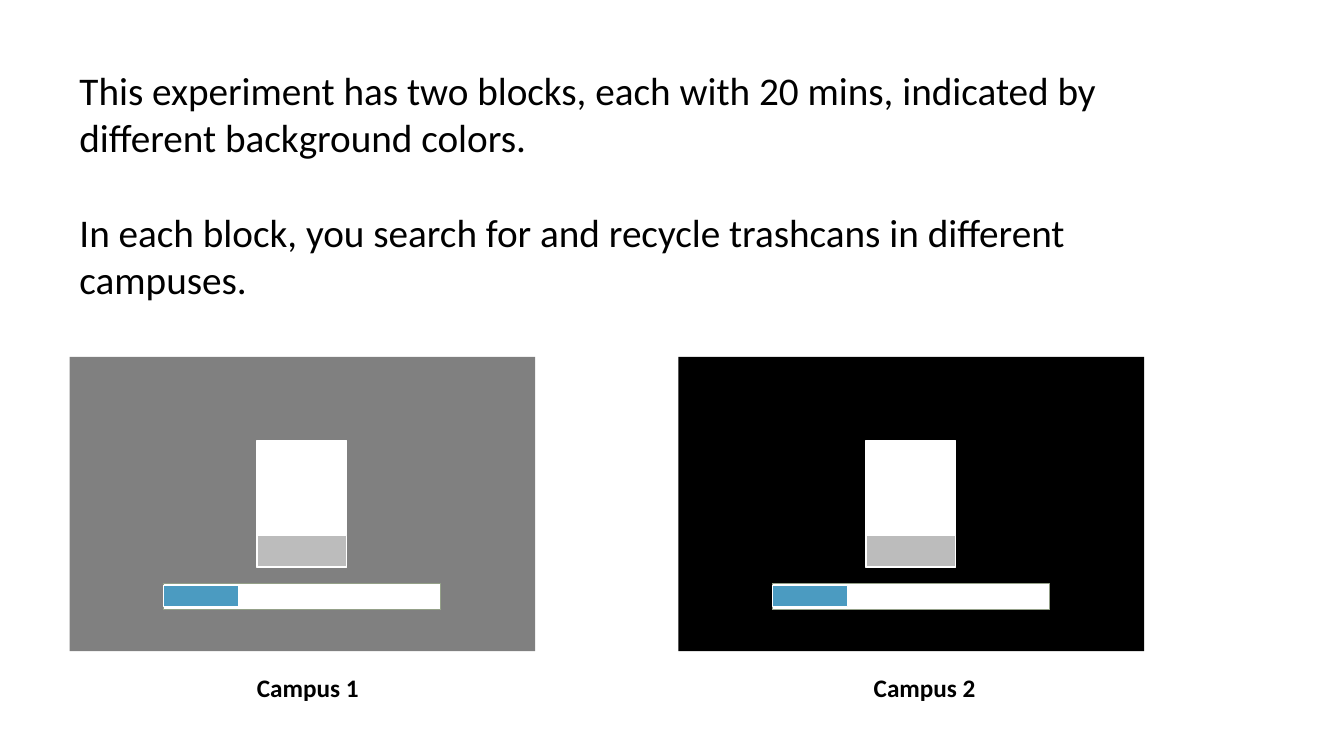
from dataclasses import dataclass
from typing import Optional

import pptx
import pptx.dml.color
import pptx.enum.shapes
import pptx.util
from pptx.shapes.group import GroupShape
from pptx.slide import Slide
from pptx.text.text import TextFrame

RGBColor = pptx.dml.color.RGBColor
Pt = pptx.util.Pt

BLACK = RGBColor(0x00, 0x00, 0x00)
WHITE = RGBColor(0xFF, 0xFF, 0xFF)
GRAY = RGBColor(0x80, 0x80, 0x80)
LIGHT_GRAY = RGBColor(0xBC, 0xBC, 0xBC)
SAGE = RGBColor(0x94, 0xA0, 0x88)
BLUE = RGBColor(0x4B, 0x9B, 0xC1)

FONT = "Calibri"
INSTRUCTION_SIZE = 28
LABEL_SIZE = 18
PARAGRAPH_GAP = 34.2
PANEL_TOP = 254.9
LABEL_TOP = 476.6

INSTRUCTIONS = (
    "This experiment has two blocks, each with 20 mins, "
    "indicated by different background colors.",
    "In each block, you search for and recycle trashcans in different campuses.",
)


@dataclass(frozen=True)
class Box:
    left: float
    top: float
    width: float
    height: float


@dataclass(frozen=True)
class Part:
    """A rectangle placed relative to the corner of its campus panel."""
    box: Box
    fill: RGBColor
    outline: Optional[RGBColor]


@dataclass(frozen=True)
class Campus:
    label: str
    left: float
    label_left: float
    background: RGBColor


TRASHCAN_PARTS = (
    Part(Box(133.9, 59.8, 64.1, 90.7), WHITE, WHITE),
    Part(Box(133.9, 127.4, 64.1, 22.3), LIGHT_GRAY, WHITE),
)
PROGRESS_PARTS = (
    Part(Box(67, 162, 198, 18.7), WHITE, SAGE),
    Part(Box(67, 163.4, 54, 15.1), BLUE, WHITE),
)
CAMPUSES = (
    Campus("Campus 1", 49.7, 176.4, GRAY),
    Campus("Campus 2", 484.6, 617, BLACK),
)


def add_text(slide: Slide, box: Box, lines: tuple[str, ...],
             size: float, bold: bool = False) -> TextFrame:
    frame = slide.shapes.add_textbox(
        Pt(box.left), Pt(box.top), Pt(box.width), Pt(box.height)).text_frame
    frame.word_wrap = True
    frame.text = "\n".join(lines)
    for paragraph in frame.paragraphs:
        for run in paragraph.runs:
            run.font.name = FONT
            run.font.size = Pt(size)
            run.font.bold = bold
            run.font.color.rgb = BLACK
    return frame


def add_part(panel: GroupShape, left: float, part: Part) -> None:
    rectangle = panel.shapes.add_shape(
        pptx.enum.shapes.MSO_SHAPE.RECTANGLE,
        Pt(left + part.box.left), Pt(PANEL_TOP + part.box.top),
        Pt(part.box.width), Pt(part.box.height))
    rectangle.shadow.inherit = False
    rectangle.fill.solid()
    rectangle.fill.fore_color.rgb = part.fill
    if part.outline is None:
        rectangle.line.fill.background()
    else:
        rectangle.line.color.rgb = part.outline
        rectangle.line.width = Pt(1)


def add_campus(slide: Slide, campus: Campus) -> None:
    screen = Part(Box(0, 0, 332.6, 210.2), campus.background, None)
    panel = slide.shapes.add_group_shape()
    for part in (screen, *TRASHCAN_PARTS, *PROGRESS_PARTS):
        add_part(panel, campus.left, part)


def main() -> None:
    presentation = pptx.Presentation()
    presentation.slide_width = Pt(960)
    presentation.slide_height = Pt(540)
    slide = presentation.slides.add_slide(presentation.slide_layouts[6])

    instructions = add_text(
        slide, Box(49.7, 43.9, 781.9, 211), INSTRUCTIONS, INSTRUCTION_SIZE)
    instructions.paragraphs[1].space_before = Pt(PARAGRAPH_GAP)

    for campus in CAMPUSES:
        add_campus(slide, campus)
        add_text(slide, Box(campus.label_left, LABEL_TOP, 229, 28.8),
                 (campus.label,), LABEL_SIZE, bold=True)

    presentation.save("out.pptx")


if __name__ == "__main__":
    main()
